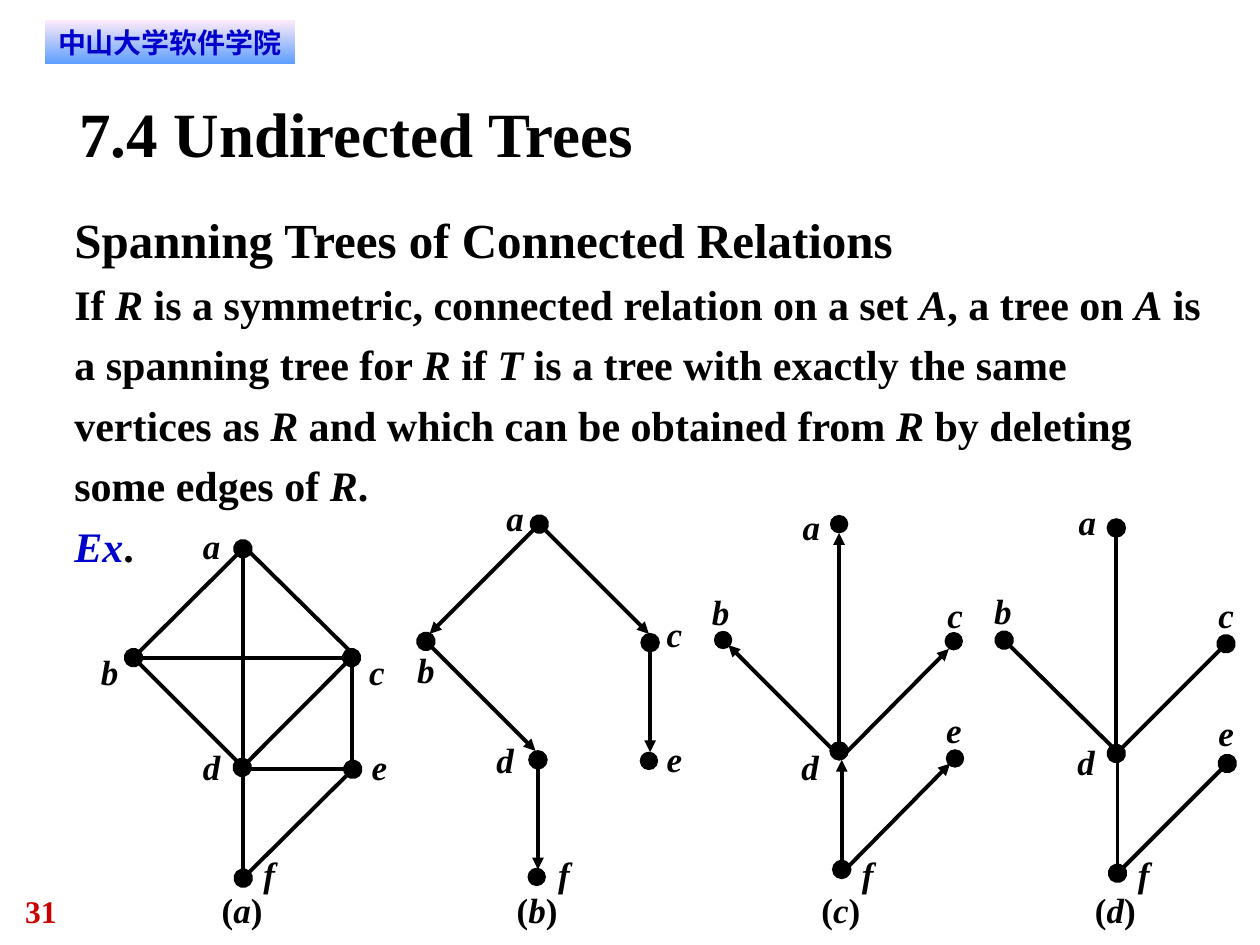
import pptx
import pptx.dml.color
import pptx.enum.shapes
import pptx.enum.text
import pptx.oxml
import pptx.oxml.ns
import pptx.util
from lxml import etree

Pt = pptx.util.Pt
ANCHOR = pptx.enum.text.MSO_ANCHOR
ALIGN = pptx.enum.text.PP_ALIGN
SHAPE = pptx.enum.shapes.MSO_SHAPE
COLOURS = {"black": "000000", "blue": "0000CC", "red": "CC0000",
           "banner_top": "FFEBFA", "banner_bottom": "5E9EFF"}
LINE_ENDS = {"oval": "lg", "triangle": "med"}
DEFINITION = (
    "If *R* is a symmetric, connected relation on a set *A*, a tree on *A* is "
    "a spanning tree for *R* if *T* is a tree with exactly the same vertices as "
    "*R* and which can be obtained from *R* by deleting some edges of *R*.")

# Each edge: start x, start y, end x, end y, start mark, end mark.
GRAPHS = [
    {"caption": ("(*a*)", 126.7),
     "edges": [
         (76.3, 375.8, 200.9, 375.8, None, None),
         (76.3, 375.8, 139, 438.5, None, None),
         (200.9, 375.8, 138.4, 438.5, "oval", "oval"),
         (141.1, 313.9, 203.8, 375.8, None, None),
         (138.8, 313.6, 76.3, 375.8, "oval", "oval"),
         (139, 314.6, 139, 439.2, None, None),
         (139, 439.9, 139, 502.6, None, None),
         (200.9, 375.8, 200.9, 438.5, None, None),
         (201.6, 439.6, 139, 501.8, "oval", "oval"),
         (139, 439.6, 201.6, 439.6, None, None)],
     "labels": {"a": (115.9, 299.5), "b": (57.6, 371.5), "c": (211, 371.5),
                "d": (115.9, 426.2), "e": (212.4, 426.2), "f": (150.5, 487.4)},
     "dots": []},
    {"caption": ("(*b*)", 295.2),
     "edges": [
         (243.4, 366.5, 306, 429.1, "oval", "triangle"),
         (308.2, 299.5, 370.8, 362.2, None, "triangle"),
         (308.2, 299.5, 245.5, 362.2, "oval", "triangle"),
         (307.4, 434.2, 307.4, 496.8, "oval", "triangle"),
         (371.5, 367.2, 371.5, 429.8, "oval", "triangle")],
     "labels": {"a": (289.4, 283.7), "b": (238.3, 370.8), "c": (380.9, 349.9),
                "d": (283.7, 421.9), "e": (380.9, 421.2), "f": (319, 487.4)},
     "dots": [(301.7, 496.1), (365.8, 429.8)]},
    {"caption": ("(*c*)", 469.4),
     "edges": [
         (416.2, 368.6, 478.1, 430.6, "triangle", None),
         (542.2, 370.8, 480.2, 433.4, "triangle", None),
         (479.5, 304.6, 479.5, 429.1, "triangle", "oval"),
         (481, 434.2, 481, 496.8, "triangle", "oval"),
         (542.9, 436.3, 481, 499, "triangle", None)],
     "labels": {"a": (458.6, 288.7), "b": (406.8, 337.7), "c": (541.4, 339.1),
                "d": (457.9, 426.2), "e": (540.7, 404.6), "f": (492.5, 487.4)},
     "dots": [(540.7, 428.4), (540, 361.4), (474.5, 294.5), (408.2, 360.7)]},
    {"caption": ("(*d*)", 625.7),
     "edges": [
         (573.8, 365.8, 636.5, 427.7, "oval", None),
         (700.6, 367.9, 637.9, 430.6, "oval", "oval"),
         (637.9, 301.7, 637.9, 426.2, "oval", None),
         (638.6, 434.2, 638.6, 496.8, None, None),
         (701.3, 436.3, 638.6, 499, "oval", "oval")],
     "labels": {"a": (616.3, 285.8), "b": (568.1, 337), "c": (696.2, 339.1),
                "d": (615.6, 423.4), "e": (696.2, 406.8), "f": (650.2, 487.4)},
     "dots": []},
]


def colour(name):
    return pptx.dml.color.RGBColor.from_string(COLOURS[name])


def set_all(target, values):
    for name, value in values.items():
        setattr(target, name, value)


class Painter:
    font = "Times New Roman"
    label_size = 20
    edge_width = 2.25
    dot_size = 10

    def __init__(self, page):
        self.page = page

    def frame(self, box, wrap=True, margins=(0, 0)):
        side, end = (Pt(margin) for margin in margins)
        set_all(box.text_frame, {
            "auto_size": pptx.enum.text.MSO_AUTO_SIZE.NONE, "word_wrap": wrap,
            "margin_left": side, "margin_right": side,
            "margin_top": end, "margin_bottom": end,
            "vertical_anchor": ANCHOR.TOP})
        return box.text_frame

    def fill_para(self, para, text, size, ink="black", italic_ink="black",
                  font=None, align=ALIGN.LEFT, spacing=1.0):
        """Fill a paragraph; text between asterisks becomes italic."""
        set_all(para, {"alignment": align, "line_spacing": spacing,
                       "space_before": Pt(0), "space_after": Pt(0)})
        for index, part in enumerate(text.split("*")):
            if part:
                italic = index % 2 == 1
                span = para.add_run()
                span.text = part
                set_all(span.font, {"name": font or self.font, "size": Pt(size),
                                    "bold": True, "italic": italic})
                span.font.color.rgb = colour(italic_ink if italic else ink)

    def title(self, text, left, top, width, height):
        box = self.page.shapes.title
        set_all(box, {"left": Pt(left), "top": Pt(top),
                      "width": Pt(width), "height": Pt(height)})
        self.fill_para(self.frame(box).paragraphs[0], text, 36)

    def text(self, left, top, width, height, lines, wrap=True):
        """Add a text box; each line is a dict of arguments for fill_para."""
        box = self.page.shapes.add_textbox(Pt(left), Pt(top), Pt(width), Pt(height))
        frame = self.frame(box, wrap)
        for index, line in enumerate(lines):
            para = frame.add_paragraph() if index else frame.paragraphs[0]
            self.fill_para(para, **line)

    def label(self, text, left, top, width):
        self.text(left, top, width, 24,
                  [{"text": text, "size": self.label_size}], wrap=False)

    def banner(self, text, left, top, width, height):
        box = self.page.shapes.add_shape(
            SHAPE.RECTANGLE, Pt(left), Pt(top), Pt(width), Pt(height))
        box.shadow.inherit = False
        box.line.fill.background()
        box.fill.gradient()
        box.fill.gradient_angle = 270
        for stop, name in zip(box.fill.gradient_stops, ("banner_top", "banner_bottom")):
            stop.color.rgb = colour(name)
        frame = self.frame(box, margins=(6, 3))
        self.fill_para(frame.paragraphs[0], text, 16, "blue",
                       font="DejaVu Sans", align=ALIGN.CENTER)

    def edge(self, x1, y1, x2, y2, start, end):
        line = self.page.shapes.add_connector(
            pptx.enum.shapes.MSO_CONNECTOR.STRAIGHT, Pt(x1), Pt(y1), Pt(x2), Pt(y2))
        line.line.width = Pt(self.edge_width)
        line.line.color.rgb = colour("black")
        outline = line.line._get_or_add_ln()
        for tag, kind in (("a:headEnd", start), ("a:tailEnd", end)):
            if kind:
                scale = LINE_ENDS[kind]
                etree.SubElement(outline, pptx.oxml.ns.qn(tag),
                                 type=kind, w=scale, len=scale)
        etree.SubElement(line._element.spPr, pptx.oxml.ns.qn("a:effectLst"))

    def dot(self, left, top):
        dot = self.page.shapes.add_shape(
            SHAPE.OVAL, Pt(left), Pt(top), Pt(self.dot_size), Pt(self.dot_size))
        dot.shadow.inherit = False
        dot.fill.solid()
        dot.fill.fore_color.rgb = colour("black")
        dot.line.color.rgb = colour("black")
        dot.line.width = Pt(0.5)

    def graph(self, caption, edges, labels, dots):
        text, left = caption
        self.label(text, left, 507.6, 23)
        for edge in edges:
            self.edge(*edge)
        for letter, (x, y) in labels.items():
            width = {"c": 9, "e": 9, "f": 6.7}.get(letter, 10)
            self.label(f"*{letter}*", x, y, width)
        for dot in dots:
            self.dot(*dot)


def main():
    deck = pptx.Presentation()
    set_all(deck, {"slide_width": Pt(720), "slide_height": Pt(540)})
    painter = Painter(deck.slides.add_slide(deck.slide_layouts[5]))
    painter.text(14.4, 509.8, 54, 21.6, [{"text": "31", "size": 18, "ink": "red"}])
    painter.banner("中山大学软件学院", 25.5, 11.5, 143, 25)
    painter.title("7.4 Undirected Trees", 45.4, 54, 630, 43.2)
    painter.text(42.5, 113, 644.4, 213, [
        {"text": "Spanning Trees of Connected Relations", "size": 28, "spacing": 1.2},
        {"text": DEFINITION, "size": 24, "spacing": 1.2},
        {"text": "*Ex*.", "size": 24, "italic_ink": "blue", "spacing": 1.2}])
    for graph in GRAPHS:
        painter.graph(**graph)
    deck.save("out.pptx")


if __name__ == "__main__":
    main()
